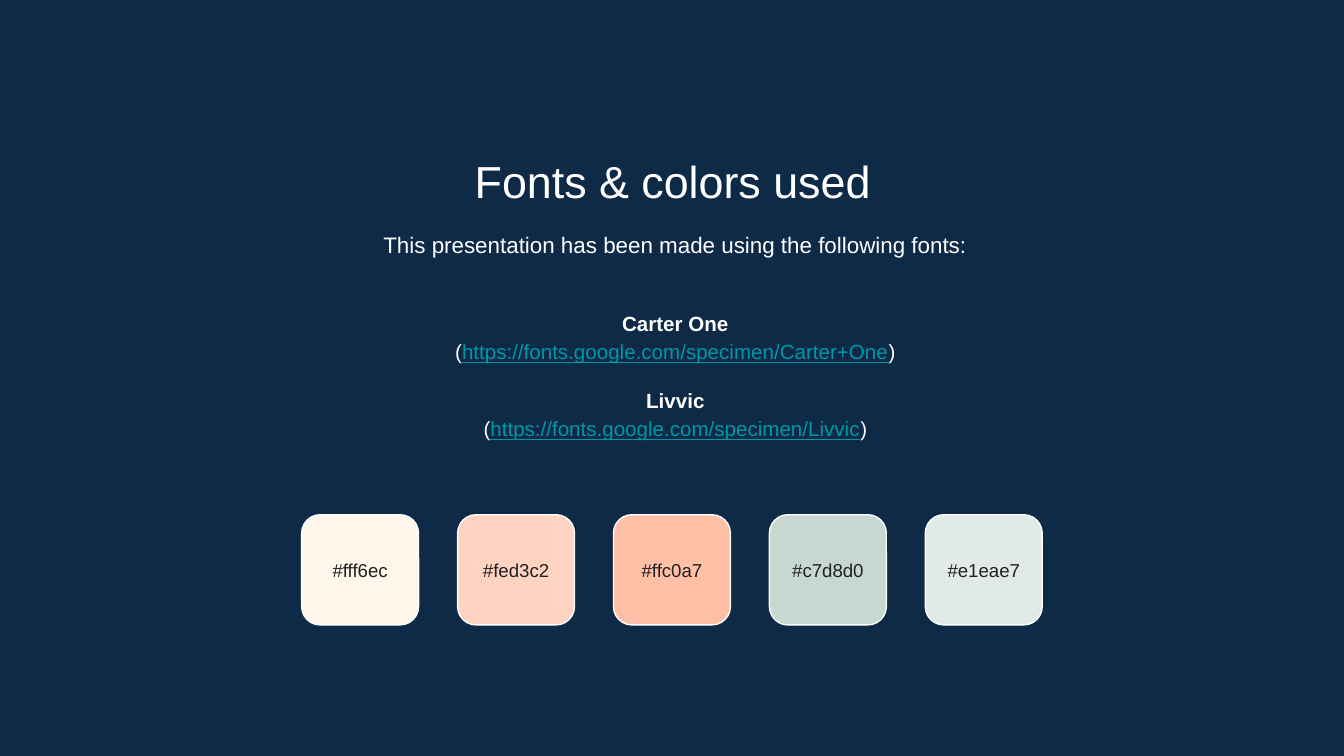
from dataclasses import dataclass

from pptx import Presentation
from pptx.dml.color import RGBColor
from pptx.enum import shapes, text
from pptx.util import Inches, Pt

SLIDE_WIDTH = 10
SLIDE_HEIGHT = SLIDE_WIDTH * 9 / 16
NAVY, WHITE, TEAL, CHARCOAL = "0E2A47", "FFFFFF", "0097A7", "212121"
FONT = "Arial"
TITLE_ONLY = 5


@dataclass
class Box:
    left: float
    top: float
    width: float
    height: float

    def lengths(self) -> tuple:
        return tuple(Inches(v) for v in (self.left, self.top, self.width, self.height))


@dataclass
class Run:
    wording: str
    color: str = WHITE
    bold: bool = False
    underline: bool = False


@dataclass
class Line:
    runs: list[Run]
    space_before: float = 0


@dataclass
class FontSource:
    name: str
    address: str


# Text column and swatch grid
TEXT_LEFT, TEXT_WIDTH = 1.17, 7.71
SWATCH_WIDTH, SWATCH_HEIGHT, SWATCH_PITCH, SWATCH_TOP = 0.87, 0.82, 1.16, 3.83

FONT_SOURCES = [
    FontSource("Carter One", "https://fonts.google.com/specimen/Carter+One"),
    FontSource("Livvic", "https://fonts.google.com/specimen/Livvic"),
]
SWATCHES = ["fff6ec", "fed3c2", "ffc0a7", "c7d8d0", "e1eae7"]


def color_of(value: str) -> RGBColor:
    return RGBColor.from_string(value.upper())


def set_text(shape, lines: list[Line], size: float, spacing: float = 1.0,
             anchor=text.MSO_ANCHOR.TOP) -> None:
    frame = shape.text_frame
    frame_format = {"word_wrap": True, "auto_size": text.MSO_AUTO_SIZE.NONE,
                    "vertical_anchor": anchor}
    frame_format |= {f"margin_{side}": Inches(0.1)
                     for side in ("left", "right", "top", "bottom")}
    for name, value in frame_format.items():
        setattr(frame, name, value)

    for index, line in enumerate(lines):
        paragraph = frame.add_paragraph() if index else frame.paragraphs[0]
        paragraph_format = {"alignment": text.PP_ALIGN.CENTER, "line_spacing": spacing,
                            "space_before": Pt(line.space_before)}
        for name, value in paragraph_format.items():
            setattr(paragraph, name, value)
        for part in line.runs:
            run = paragraph.add_run()
            run.text = part.wording
            run_format = {"name": FONT, "size": Pt(size), "bold": part.bold,
                          "underline": part.underline}
            for name, value in run_format.items():
                setattr(run.font, name, value)
            run.font.color.rgb = color_of(part.color)


def draw_swatch(slide, column: int, color: str) -> None:
    left = (SLIDE_WIDTH - SWATCH_WIDTH) / 2 + (column - len(SWATCHES) // 2) * SWATCH_PITCH
    box = Box(left, SWATCH_TOP, SWATCH_WIDTH, SWATCH_HEIGHT)
    shape = slide.shapes.add_shape(shapes.MSO_SHAPE.ROUNDED_RECTANGLE, *box.lengths())
    shape.shadow.inherit = False
    shape.fill.solid()
    shape.fill.fore_color.rgb = color_of(color)
    shape.line.color.rgb = color_of(WHITE)
    shape.line.width = Pt(0.75)
    set_text(shape, [Line([Run(f"#{color}", CHARCOAL)])], 10,
             anchor=text.MSO_ANCHOR.MIDDLE)


def main() -> None:
    presentation = Presentation()
    presentation.slide_width = Inches(SLIDE_WIDTH)
    presentation.slide_height = Inches(SLIDE_HEIGHT)
    slide = presentation.slides.add_slide(presentation.slide_layouts[TITLE_ONLY])
    slide.background.fill.solid()
    slide.background.fill.fore_color.rgb = color_of(NAVY)

    # Title
    title = slide.shapes.title
    title_box = Box(1.15, 1.04, TEXT_WIDTH, 0.53)
    title.left, title.top, title.width, title.height = title_box.lengths()
    set_text(title, [Line([Run("Fonts & colors used")])], 24)

    # Introduction
    intro = slide.shapes.add_textbox(*Box(TEXT_LEFT, 1.59, TEXT_WIDTH, 0.48).lengths())
    wording = "This presentation has been made using the following fonts:"
    set_text(intro, [Line([Run(wording)])], 12, 1.15)

    # Font names with their addresses
    lines = []
    for source in FONT_SOURCES:
        lines.append(Line([Run(source.name, bold=True)], 11 if lines else 0))
        lines.append(Line([Run("("), Run(source.address, TEAL, underline=True), Run(")")]))
    sources = slide.shapes.add_textbox(*Box(TEXT_LEFT, 2.1, TEXT_WIDTH, 1.37).lengths())
    set_text(sources, lines, 11, 1.15, text.MSO_ANCHOR.MIDDLE)

    # Colour swatches
    for column, color in enumerate(SWATCHES):
        draw_swatch(slide, column, color)

    presentation.save("out.pptx")


if __name__ == "__main__":
    main()
